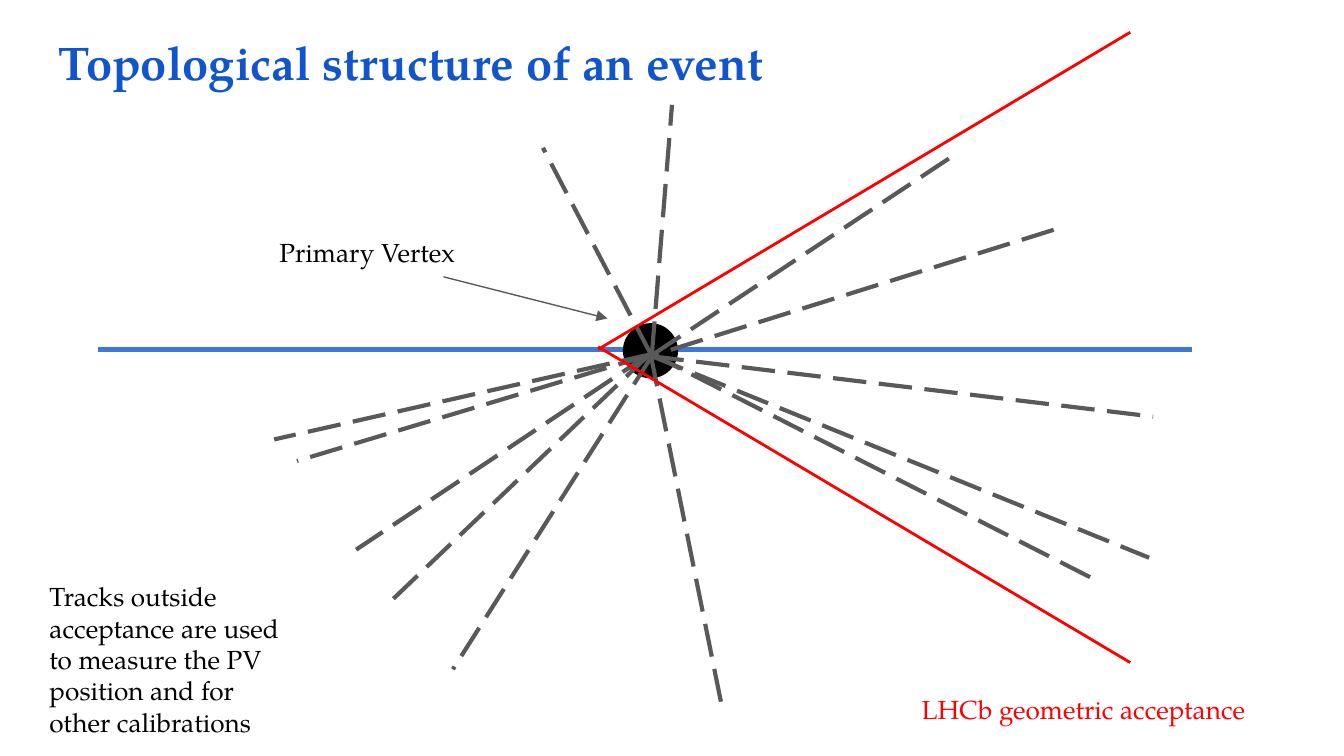
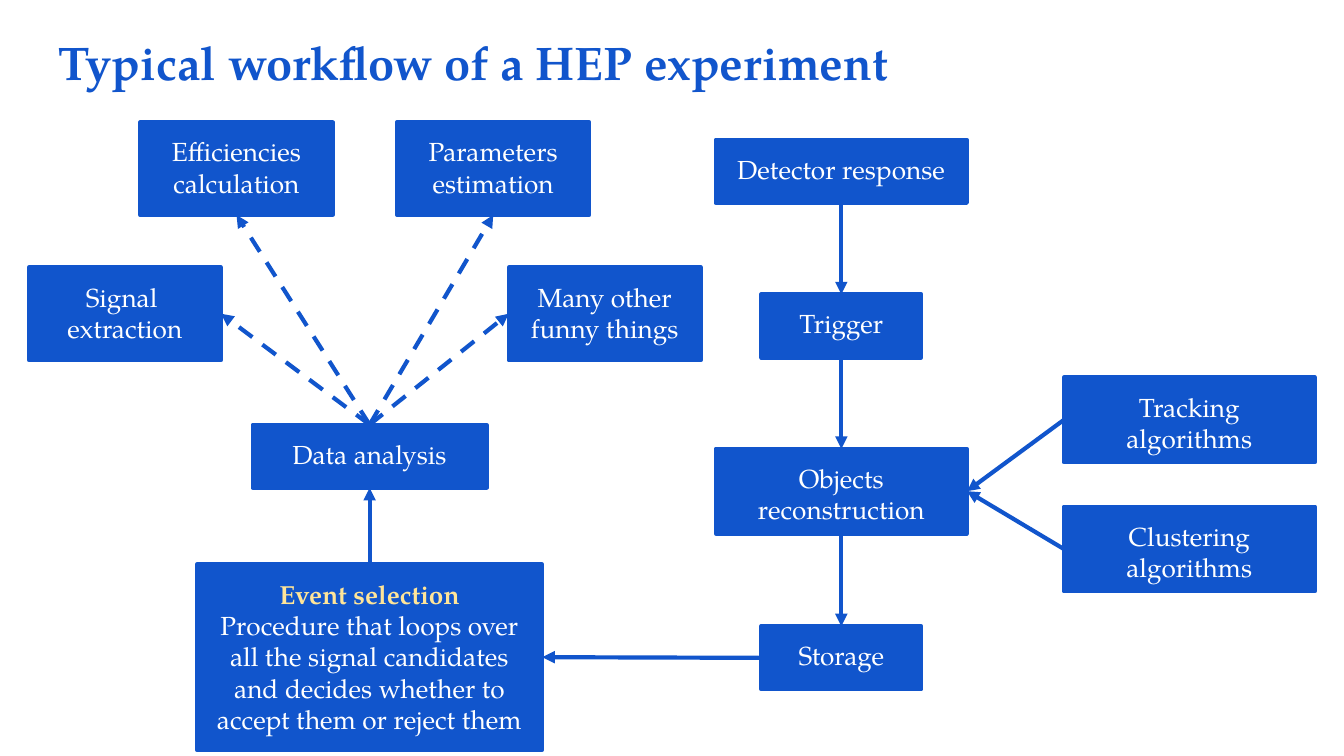
from dataclasses import dataclass

from pptx import Presentation
from pptx.dml.color import RGBColor
from pptx.enum.dml import MSO_LINE
from pptx.enum.shapes import MSO_CONNECTOR, MSO_SHAPE
from pptx.enum.text import MSO_ANCHOR, PP_ALIGN
from pptx.oxml.ns import qn
from pptx.util import Inches, Pt
from lxml import etree

STRAIGHT = MSO_CONNECTOR.STRAIGHT
DASH, LONG_DASH = MSO_LINE.DASH, MSO_LINE.LONG_DASH
RECT, OVAL = MSO_SHAPE.RECTANGLE, MSO_SHAPE.OVAL
ANCHOR_TOP, CENTER = MSO_ANCHOR.TOP, PP_ALIGN.CENTER
TOP, LEFT, BOTTOM, RIGHT = range(4)


@dataclass(frozen=True)
class Theme:
    font: str = "TeX Gyre Pagella"
    title_size: float = 25.2
    body_size: float = 14
    blue: str = "1155CC"
    beam: str = "3C78D8"
    track: str = "595959"
    red: str = "FF0000"
    black: str = "000000"
    white: str = "FFFFFF"
    highlight: str = "FFE599"
    thin: float = 0.75
    edge: float = 1.5
    medium: float = 2.25
    thick: float = 3


T = Theme()

# Slide 1: event topology
EVENT_TITLE = "Topological structure of an event"
BEAM = [((0.73, 2.6), (5.67, 2.6)), ((5.48, 2.6), (8.87, 2.6))]
VERTEX = (4.64, 2.41, 0.4, 0.4)
VERTEX_POINTER = ((3.3, 2.06), (4.52, 2.37))
TRACKS = [
    ((4.84, 2.63), (2.65, 4.09)),
    ((4.84, 2.63), (2.88, 4.5)),
    ((4.87, 2.63), (2.04, 3.27)),
    ((4.85, 2.65), (3.37, 4.98)),
    ((4.84, 2.63), (5.38, 5.3)),
    ((4.84, 2.65), (8.58, 3.1)),
    ((4.84, 2.63), (8.16, 4.32)),
    ((4.85, 2.65), (8.55, 4.15)),
    ((7.84, 1.71), (4.84, 2.65)),
    ((7.06, 1.18), (4.87, 2.63)),
    ((4.85, 2.64), (5, 0.78)),
    ((4.84, 2.64), (2.21, 3.43)),
    ((4.85, 2.65), (4.04, 1.1)),
]
ACCEPTANCE = [((4.45, 2.6), (8.41, 0.24)), ((4.45, 2.58), (8.41, 4.93))]
EVENT_LABELS = [
    ("Primary Vertex", (1.98, 1.66, 2.42, 0.38), T.black),
    ("LHCb geometric acceptance", (6.76, 5.06, 2.9, 0.46), T.red),
    ("Tracks outside acceptance are used to measure the PV position and for "
     "other calibrations", (0.27, 4.22, 2.06, 0.72), T.black),
]

# Slide 2: workflow, each box as name: (centre x, top, (width, height), lines)
WORKFLOW_TITLE = "Typical workflow of a HEP experiment"
WIDE, NARROW, TALL, RESULT = (1.87, 0.47), (1.19, 0.47), (1.87, 0.63), (1.43, 0.69)
CHAIN_X, SIDE_X, ANALYSIS_X = 6.26, 8.85, 2.75
BOXES = {
    "detector": (CHAIN_X, 1.04, WIDE, ["Detector response"]),
    "trigger": (CHAIN_X, 2.19, NARROW, ["Trigger"]),
    "objects": (CHAIN_X, 3.34, TALL, ["Objects reconstruction"]),
    "tracking": (SIDE_X, 2.81, TALL, ["Tracking algorithms"]),
    "clustering": (SIDE_X, 3.77, TALL, ["Clustering algorithms"]),
    "storage": (CHAIN_X, 4.66, NARROW, ["Storage"]),
    "analysis": (ANALYSIS_X, 3.16, (1.74, 0.47), ["Data analysis"]),
    "selection": (ANALYSIS_X, 4.2, (2.57, 1.38), [
        "Event selection", "Procedure that loops over",
        "all the signal candidates", "and decides whether to",
        "accept them or reject them"]),
    "signal": (0.93, 1.99, RESULT, ["Signal ", "extraction"]),
    "efficiencies": (1.76, 0.91, RESULT, ["Efficiencies", "calculation"]),
    "parameters": (3.67, 0.91, RESULT, ["Parameters", "estimation"]),
    "others": (4.5, 1.99, RESULT, ["Many other", "funny things"]),
}
ARROWS = [
    ("detector", BOTTOM, "trigger", TOP, None),
    ("trigger", BOTTOM, "objects", TOP, None),
    ("objects", BOTTOM, "storage", TOP, None),
    ("tracking", LEFT, "objects", RIGHT, None),
    ("clustering", LEFT, "objects", RIGHT, None),
    ("storage", LEFT, "selection", RIGHT, None),
    ("selection", TOP, "analysis", BOTTOM, None),
    ("analysis", TOP, "efficiencies", BOTTOM, DASH),
    ("analysis", TOP, "signal", RIGHT, DASH),
    ("analysis", TOP, "parameters", BOTTOM, DASH),
    ("analysis", TOP, "others", LEFT, DASH),
]


def rgb(color):
    return RGBColor.from_string(color)


def set_font(p, color, size=T.body_size, bold=False):
    p.font.name, p.font.size, p.font.bold = T.font, Pt(size), bold
    p.font.color.rgb = rgb(color)


def prepare_frame(tf):
    tf.word_wrap = True
    tf.vertical_anchor = ANCHOR_TOP
    tf.margin_left = tf.margin_right = tf.margin_top = tf.margin_bottom = Inches(0.1)


def add_label(s, text, box, color, **font):
    tf = s.shapes.add_textbox(*map(Inches, box)).text_frame
    prepare_frame(tf)
    p = tf.paragraphs[0]
    p.text = text
    set_font(p, color, **font)


def add_solid(s, kind, box, color, width):
    """Add a shape whose fill and outline share one colour."""
    sp = s.shapes.add_shape(kind, *map(Inches, box))
    sp.shadow.inherit = False
    sp.fill.solid()
    sp.fill.fore_color.rgb = sp.line.color.rgb = rgb(color)
    sp.line.width = Pt(width)
    return sp


def add_line(s, start, end, color, width, dash=None, arrow=False):
    cx = s.shapes.add_connector(STRAIGHT, *map(Inches, (*start, *end)))
    cx.line.color.rgb = rgb(color)
    cx.line.width = Pt(width)
    if dash:
        cx.line.dash_style = dash
    if arrow:
        ln = cx._element.spPr.find(qn("a:ln"))
        etree.SubElement(ln, qn("a:tailEnd"), type="triangle")
    etree.SubElement(cx._element.spPr, qn("a:effectLst"))
    return cx


def add_titled_slide(prs, title):
    s = prs.slides.add_slide(prs.slide_layouts[6])
    add_label(s, title, (0.34, 0.15, 9.32, 0.63), T.blue, size=T.title_size, bold=True)
    return s


def add_box(s, center, top, size, lines):
    width, height = size
    sp = add_solid(s, RECT, (center - width / 2, top, width, height), T.blue, T.medium)
    tf = sp.text_frame
    prepare_frame(tf)
    for i, line in enumerate(lines):
        p = tf.paragraphs[0] if i == 0 else tf.add_paragraph()
        p.text = line
        p.alignment = CENTER
        heading = i == 0 and len(lines) > 2
        set_font(p, T.highlight if heading else T.white, bold=heading)
    return sp


def build_event(prs):
    s = add_titled_slide(prs, EVENT_TITLE)
    for start, end in BEAM:
        add_line(s, start, end, T.beam, T.thick)
    add_solid(s, OVAL, VERTEX, T.black, T.thin)
    add_line(s, *VERTEX_POINTER, T.track, T.thin, arrow=True)
    for start, end in TRACKS:
        add_line(s, start, end, T.track, T.medium, LONG_DASH)
    for start, end in ACCEPTANCE:
        add_line(s, start, end, T.red, T.edge)
    for text, box, color in EVENT_LABELS:
        add_label(s, text, box, color)


def build_workflow(prs):
    s = add_titled_slide(prs, WORKFLOW_TITLE)
    boxes = {name: add_box(s, *box) for name, box in BOXES.items()}
    for source, source_side, target, target_side, dash in ARROWS:
        cx = add_line(s, (0, 0), (0, 0), T.blue, T.medium, dash, arrow=True)
        cx.begin_connect(boxes[source], source_side)
        cx.end_connect(boxes[target], target_side)


def main():
    prs = Presentation()
    prs.slide_width = Inches(10)
    prs.slide_height = prs.slide_width * 9 // 16
    build_event(prs)
    build_workflow(prs)
    prs.save("out.pptx")


if __name__ == "__main__":
    main()
